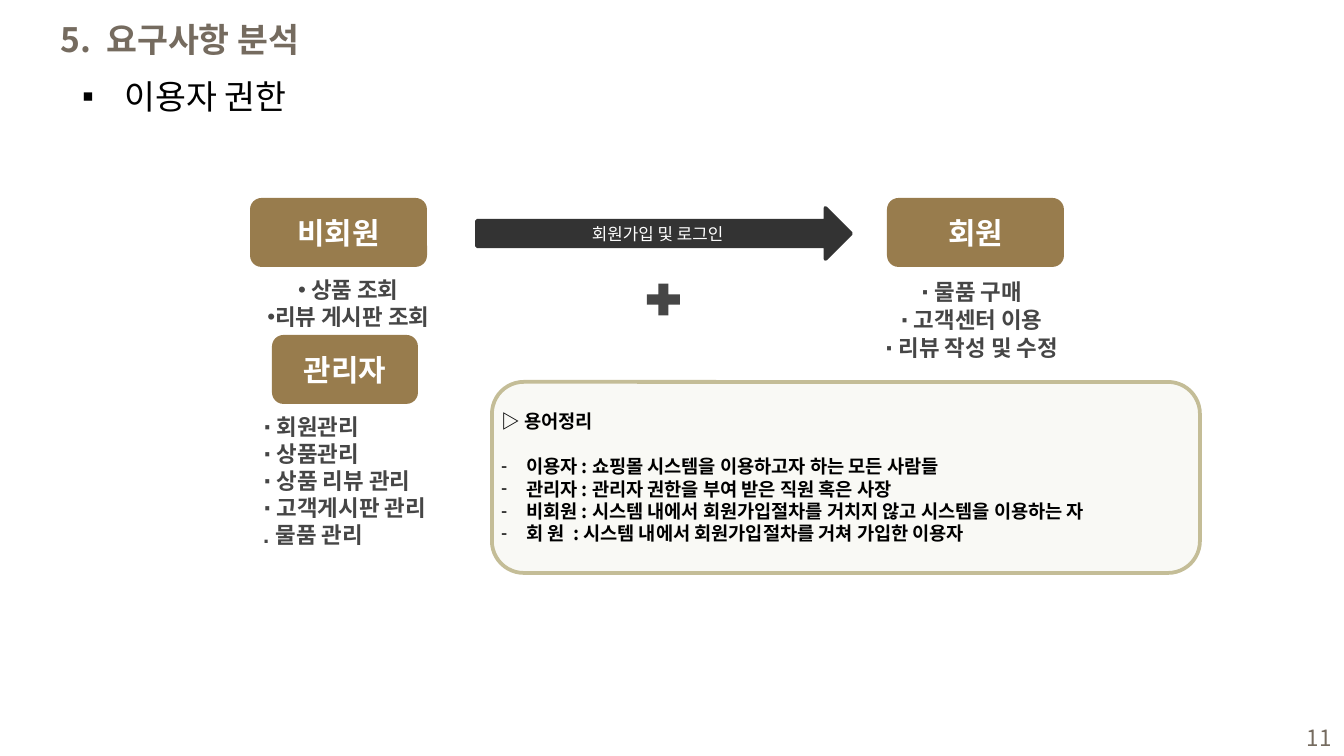
"""Build the user permissions slide of a requirements analysis deck."""
import pptx
import pptx.dml.color
import pptx.enum.shapes
import pptx.enum.text
import pptx.oxml.ns
import pptx.util
from lxml import etree

SHAPES = pptx.enum.shapes.MSO_SHAPE
ALIGN = pptx.enum.text.PP_ALIGN
ANCHOR = pptx.enum.text.MSO_ANCHOR
EMU_PER_PX = 914400 / 134.4
KOREAN = "Noto Sans CJK KR"
COLORS = {
    "role": "987C4D", "heading": "756B5F", "body": "464646", "arrow": "333333",
    "note": "EEECE1", "border": "C4BD97", "white": "FFFFFF", "black": "000000",
}


def px(value):
    return pptx.util.Emu(round(value * EMU_PER_PX))


def rgb(name):
    return pptx.dml.color.RGBColor.from_string(COLORS[name])


class SlideBuilder:
    """Holds the text style and the current page."""

    def __init__(self, page, leading=1.2):
        self.page = page
        self.leading = leading

    def set_text(self, box, lines, size, color, bold=False, font=KOREAN,
                 align=ALIGN.LEFT, spacing=None):
        frame = box.text_frame
        frame.text = "\n".join(lines)
        for para in frame.paragraphs:
            para.alignment = align
            para.line_spacing = pptx.util.Pt(spacing or size * self.leading)
            for span in para.runs:
                span.font.size = pptx.util.Pt(size)
                span.font.bold = bold
                span.font.name = font
                span.font.color.rgb = rgb(color)
                east = etree.SubElement(span.font._element, pptx.oxml.ns.qn("a:ea"))
                east.set("typeface", KOREAN)
        return frame.paragraphs

    def bullet(self, para, mark, margin, indent):
        properties = para._p.get_or_add_pPr()
        properties.set("marL", str(px(margin)))
        properties.set("indent", str(px(indent)))
        etree.SubElement(properties, pptx.oxml.ns.qn("a:buFont")).set("typeface", "Arial")
        etree.SubElement(properties, pptx.oxml.ns.qn("a:buChar")).set("char", mark)

    def text(self, place, lines, size, color, wrap=True, anchor=ANCHOR.TOP, **style):
        box = self.page.shapes.add_textbox(*map(px, place))
        box.text_frame.word_wrap = wrap
        box.text_frame.vertical_anchor = anchor
        return self.set_text(box, lines, size, color, **style)

    def shape(self, kind, place, fill, line=None):
        box = self.page.shapes.add_shape(kind, *map(px, place))
        box.shadow.inherit = False
        box.fill.solid()
        box.fill.fore_color.rgb = rgb(fill)
        if line:
            box.line.color.rgb = rgb(line)
            box.line.width = pptx.util.Pt(2)
        else:
            box.line.fill.background()
        box.text_frame.word_wrap = True
        box.text_frame.vertical_anchor = ANCHOR.MIDDLE
        return box

    def role(self, name, left, top, width):
        box = self.shape(SHAPES.ROUNDED_RECTANGLE, (left, top, width, 69), "role")
        self.set_text(box, [name], 16, "white", bold=True, align=ALIGN.CENTER)

    def permissions(self, place, lines, **style):
        return self.text(place, lines, 12, "body", bold=True, font="Arial", **style)

    def glossary(self, place, title, terms):
        box = self.shape(SHAPES.ROUNDED_RECTANGLE, place, "note", "border")
        color = box.fill._xPr.find(".//" + pptx.oxml.ns.qn("a:srgbClr"))
        etree.SubElement(color, pptx.oxml.ns.qn("a:alpha")).set("val", "30000")
        frame = box.text_frame
        frame.margin_left = frame.margin_right = frame.margin_top = frame.margin_bottom = 0
        paras = self.set_text(box, [title, *terms], 10, "black", bold=True)
        for para in paras[1:]:
            self.bullet(para, "-", 25, -25)
        paras[1].space_before = pptx.util.Pt(12)


def main():
    deck = pptx.Presentation()
    deck.slide_width, deck.slide_height = px(1344), px(756)
    slide = SlideBuilder(deck.slides.add_slide(deck.slide_layouts[6]))

    slide.text((47, 12, 328, 54), ["5.  요구사항 분석"], 18, "heading", bold=True)
    topic = slide.text((69, 69, 234, 54), ["이용자 권한"], 18, "black", wrap=False)
    slide.bullet(topic[0], "▪", 42, -42)

    slide.role("비회원", 250, 198, 177)
    slide.role("회원", 887, 198, 177)
    slide.role("관리자", 272, 335, 146)

    guest = slide.permissions((195, 270, 265, 67), [" 상품 조회", "리뷰 게시판 조회"],
                              align=ALIGN.CENTER)
    for para in guest:
        slide.bullet(para, "•", 42, 0)
    slide.permissions((841, 270, 261, 98),
                      ["∙ 물품 구매", "∙ 고객센터 이용", "∙ 리뷰 작성 및 수정"],
                      align=ALIGN.CENTER, spacing=15)
    slide.permissions((250, 407, 242, 176),
                      ["∙ 회원관리", "∙ 상품관리", "∙ 상품 리뷰 관리",
                       "∙ 고객게시판 관리", ". 물품 관리"])

    slide.shape(SHAPES.MATH_PLUS, (641, 278, 45, 43), "body")
    arrow = slide.shape(SHAPES.RIGHT_ARROW, (477, 208, 374, 51), "arrow", "arrow")
    slide.set_text(arrow, ["회원가입 및 로그인"], 9, "white", align=ALIGN.CENTER)

    slide.glossary((492, 382, 708, 191), "▷ 용어정리", [
        "이용자 : 쇼핑몰 시스템을 이용하고자 하는 모든 사람들",
        "관리자 : 관리자 권한을 부여 받은 직원 혹은 사장",
        "비회원 : 시스템 내에서 회원가입절차를 거치지 않고 시스템을 이용하는 자",
        "회 원  : 시스템 내에서 회원가입절차를 거쳐 가입한 이용자",
    ])
    slide.text((1032, 718, 313, 40), ["11"], 12, "heading",
               anchor=ANCHOR.MIDDLE, align=ALIGN.RIGHT)
    deck.save("out.pptx")


if __name__ == "__main__":
    main()
